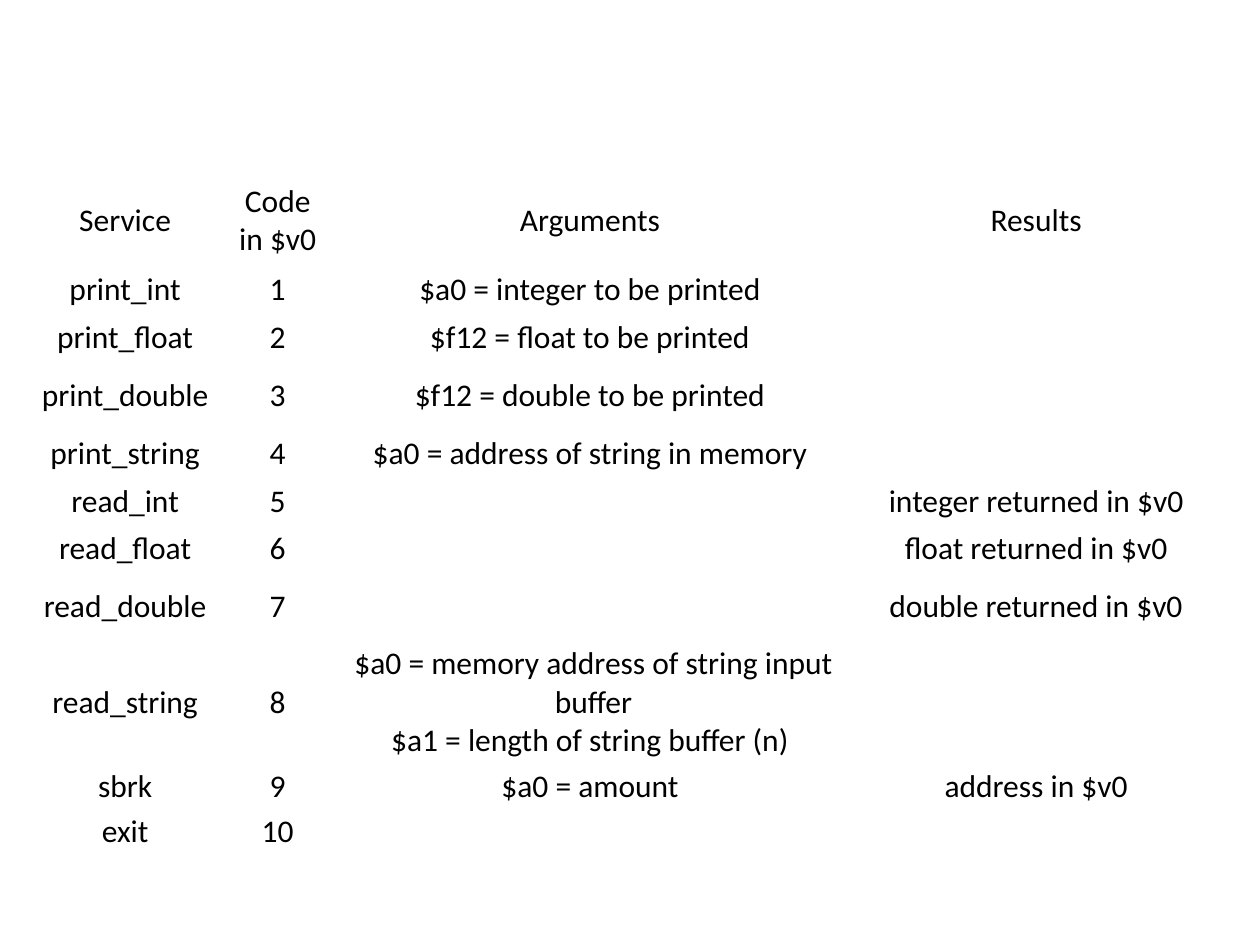
"""Build a slide with a table of system call services."""
from pptx import Presentation
from pptx.dml.color import RGBColor
from pptx.enum.text import MSO_ANCHOR as Anchor, PP_ALIGN as Align
from pptx.util import Pt


def color(hex_code):
    return RGBColor.from_string(hex_code)


services = [
    ("Service ", "Code\nin $v0 ", "Arguments ", "Results "),
    ("print_int ", "1", "$a0 = integer to be printed ", ""),
    ("print_float ", "2", "$f12 = float to be printed ", ""),
    ("print_double ", "3", "$f12 = double to be printed ", ""),
    ("print_string ", "4", "$a0 = address of string in memory ", ""),
    ("read_int ", "5", "", "integer returned in $v0 "),
    ("read_float ", "6", "", "float returned in $v0 "),
    ("read_double ", "7", "", "double returned in $v0 "),
    ("read_string ", "8",
     "$a0 = memory address of string input buffer\n$a1 = length of string buffer (n) ", ""),
    ("sbrk ", "9", "$a0 = amount ", "address in $v0 "),
    ("exit ", "10", "", ""),
]
column_widths = [118.3, 52, 309, 201]
row_heights = [52, 27.3, 27.3, 39, 27.3, 27.3, 27.3, 39, 50.4, 16, 16]

deck = Presentation()
deck.slide_width, deck.slide_height = Pt(720), Pt(540)
slide = deck.slides.add_slide(deck.slide_layouts[6])

table = slide.shapes.add_table(
    len(services), len(column_widths), Pt(14.4), Pt(100),
    Pt(sum(column_widths)), Pt(sum(row_heights))).table
table.first_row = table.horz_banding = False
for column, width in zip(table.columns, column_widths):
    column.width = Pt(width)

for row, height, entries in zip(table.rows, row_heights, services):
    row.height = Pt(height)
    for cell, entry in zip(row.cells, entries):
        cell.fill.solid()
        cell.fill.fore_color.rgb = color("FFFFFF")
        cell.vertical_anchor = Anchor.MIDDLE
        cell.margin_left = cell.margin_right = Pt(3.6)
        cell.margin_top = cell.margin_bottom = Pt(2)
        paragraph = cell.text_frame.paragraphs[0]
        paragraph.alignment = Align.CENTER
        for index, line in enumerate(entry.split("\n") if entry else []):
            if index:
                paragraph.add_line_break()
            run = paragraph.add_run()
            run.text = line
            run.font.name = "Calibri"
            run.font.size = Pt(18)
            run.font.color.rgb = color("000000")

deck.save("out.pptx")
